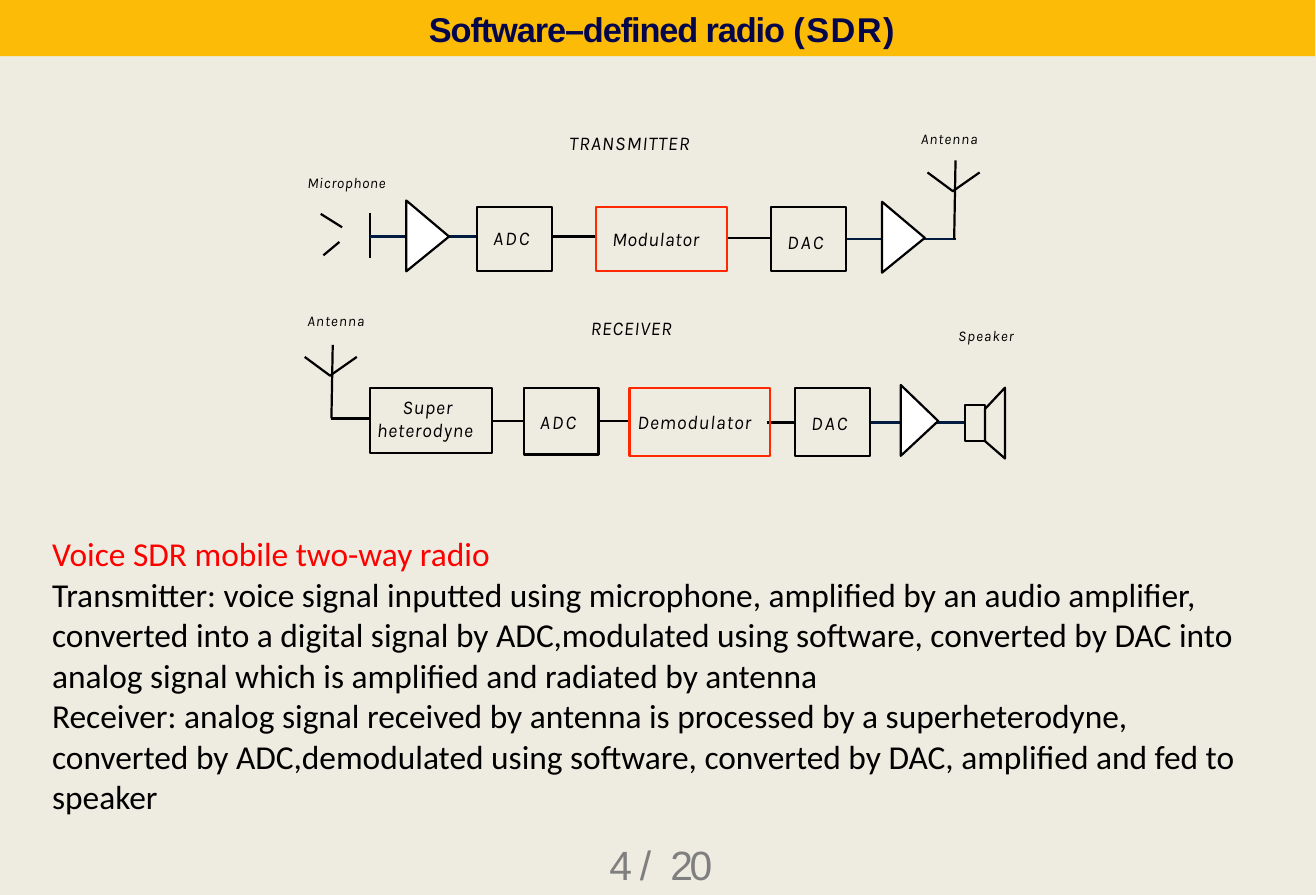
from dataclasses import dataclass

from lxml.etree import SubElement
from pptx import Presentation
from pptx.dml.color import RGBColor
from pptx.enum.shapes import MSO_CONNECTOR, MSO_SHAPE
from pptx.enum.text import MSO_ANCHOR
from pptx.oxml.ns import qn
from pptx.util import Pt

SCALE = 9144


@dataclass(frozen=True)
class Theme:
    """Colours, fonts and sizes of the deck."""
    paper: str = "EEECE1"
    band: str = "FCBB06"
    navy: str = "04064C"
    wire: str = "001A40"
    black: str = "000000"
    white: str = "FFFFFF"
    software: str = "FF2800"
    red: str = "FF0000"
    grey: str = "7F7F7F"
    heading: str = "Arial"
    body: str = "Calibri"
    diagram: str = "Karla"
    title_size: float = 18.5
    body_size: float = 18
    page_size: float = 22
    block_size: float = 10.5
    label_size: float = 8
    stroke: float = 1.18


THEME = Theme()


def px(value):
    """Turn px into EMU."""
    return round(value * SCALE)


def apply(target, values):
    """Set each attribute in a dict of format values."""
    for name, value in values.items():
        setattr(target, name, value)


def style(shape, fill=None, line=None):
    """Give a shape a flat fill and outline, or none."""
    shape.shadow.inherit = False
    if fill:
        shape.fill.solid()
        shape.fill.fore_color.rgb = RGBColor.from_string(fill)
    else:
        shape.fill.background()
    if line:
        shape.line.color.rgb = RGBColor.from_string(line)
        shape.line.width = Pt(THEME.stroke)
    else:
        shape.line.fill.background()


def frame_text(shape, left=1, top=0):
    """Prepare a text frame with the given insets."""
    frame = shape.text_frame
    apply(frame, dict(word_wrap=True, vertical_anchor=MSO_ANCHOR.TOP, margin_left=px(left),
                      margin_top=px(top), margin_right=0, margin_bottom=0))
    return frame


def write(para, spans, color, **font):
    """Add (text, spacing in points) spans to a paragraph."""
    for text, spacing in spans:
        span = para.add_run()
        span.text = text
        apply(span.font, font)
        span.font.color.rgb = RGBColor.from_string(color)
        if spacing:
            span.font._element.set("spc", str(round(spacing * 100)))


def text_box(slide, box, left=1, top=2):
    """Add a text box and return its frame."""
    return frame_text(slide.shapes.add_textbox(*map(px, box)), left, top)


def wire(slide, origin, start, end, color=THEME.black):
    """Draw a straight line between two points of a region."""
    x, y = origin
    line = slide.shapes.add_connector(MSO_CONNECTOR.STRAIGHT, px(x + start[0]), px(y + start[1]),
                                      px(x + end[0]), px(y + end[1]))
    line.line.color.rgb = RGBColor.from_string(color)
    line.line.width = Pt(THEME.stroke)
    SubElement(line._element.spPr, qn("a:effectLst"))


def outline(slide, origin, points, close=False, fill=None):
    """Draw a polyline or polygon from points of a region."""
    first, *rest = [(origin[0] + x, origin[1] + y) for x, y in points]
    builder = slide.shapes.build_freeform(*first, scale=SCALE)
    builder.add_line_segments(rest, close=close)
    style(builder.convert_to_shape(), fill, THEME.black)


def amplifier(slide, origin, left, top, width):
    """Draw an amplifier triangle."""
    outline(slide, origin, [(left, top), (left, top + 53), (left + width, top + 27)],
            close=True, fill=THEME.white)


def antenna(slide, origin, left, top, height):
    """Draw an antenna with its mast."""
    place = (origin[0] + left, origin[1] + top)
    outline(slide, place, [(0, 9), (19, 23), (39, 9)])
    wire(slide, place, (21, 0), (20, height))


def label(slide, origin, text, left, top, width, size, spacing):
    """Add a caption to the diagram."""
    frame = text_box(slide, (origin[0] + left, origin[1] + top, width, 18))
    write(frame.paragraphs[0], [(text, spacing)], THEME.black, size=Pt(size),
          name=THEME.diagram, italic=True)


def block(slide, origin, text, box, inset, spacing, color=THEME.black, first=0):
    """Draw a processing block with its name."""
    left, top, width, height = box
    shape = slide.shapes.add_shape(MSO_SHAPE.RECTANGLE, px(origin[0] + left),
                                   px(origin[1] + top), px(width), px(height))
    style(shape, line=color)
    para = frame_text(shape, *inset).paragraphs[0]
    properties = para._p.get_or_add_pPr()
    properties.set("algn", "l")
    properties.set("indent", str(px(first)))
    para.line_spacing = Pt(12.4)
    write(para, [(text, spacing)], THEME.black, size=Pt(THEME.block_size),
          name=THEME.diagram, italic=True)


def header(slide, box):
    """Draw the title band."""
    left, top, width, height = box
    style(slide.shapes.add_shape(MSO_SHAPE.RECTANGLE, *map(px, box)), THEME.band)
    frame = text_box(slide, (left + 320, top + 4, 358, height - 8))
    write(frame.paragraphs[0], [("Software–defined ", -0.6), ("radio ", -0.6), ("(SDR)", 0.8)],
          THEME.navy, size=Pt(THEME.title_size), name=THEME.heading, bold=True)


def transmitter(slide, origin):
    """Draw the chain from microphone to antenna."""
    for start, end in [((49, 64), (49, 98)), ((12, 65), (28, 75)), ((14, 96), (26, 86)),
                       ((186, 82), (218, 82)), ((316, 83), (348, 83))]:
        wire(slide, origin, start, end)
    for left, right, y in [(49, 130, 82), (405, 487, 84)]:
        wire(slide, origin, (left, y), (right, y), THEME.wire)
    amplifier(slide, origin, 76, 55, 32)
    amplifier(slide, origin, 432, 56, 32)
    antenna(slide, origin, 466, 25, 59)
    block(slide, origin, "ADC", (129, 60, 56, 48), (12, 14), 1.1)
    block(slide, origin, "Modulator", (218, 60, 98, 48), (12, 15), 0.3, THEME.software)
    block(slide, origin, "DAC", (349, 60, 56, 48), (12, 17), 1.1)
    label(slide, origin, "Microphone", 1, 33, 67, THEME.label_size, 0.3)
    label(slide, origin, "Antenna", 460, 0, 49, THEME.label_size, 0.5)
    label(slide, origin, "TRANSMITTER", 197, 1, 103, THEME.block_size, 0.6)


def receiver(slide, origin):
    """Draw the chain from antenna to speaker."""
    for left, right, y in [(20, 49, 81), (140, 164, 83), (220, 243, 83), (346, 368, 84)]:
        wire(slide, origin, (left, y), (right, y))
    wire(slide, origin, (422, 84), (494, 84), THEME.wire)
    antenna(slide, origin, 0, 26, 55)
    amplifier(slide, origin, 446, 56, 28)
    outline(slide, origin, [(509, 74), (509, 98), (524, 111), (524, 58)], close=True)
    outline(slide, origin, [(494, 71), (509, 71), (509, 98), (494, 98)], close=True)
    block(slide, origin, "Super heterodyne", (49, 58, 91, 49), (5, 6), 0.4, first=19)
    block(slide, origin, "ADC", (164, 58, 56, 50), (12, 17), 1.1)
    block(slide, origin, "Demodulator", (243, 58, 105, 51), (6, 17), 0.5, THEME.software)
    block(slide, origin, "DAC", (367, 58, 56, 51), (12, 18), 1.1)
    label(slide, origin, "Antenna", 1, -1, 49, THEME.label_size, 0.5)
    label(slide, origin, "RECEIVER", 213, 2, 70, THEME.block_size, 0.4)
    label(slide, origin, "Speaker", 488, 10, 47, THEME.label_size, 0.5)


def explanation(slide, box):
    """Write the heading and the two descriptions."""
    frame = text_box(slide, box)
    lines = [
        ("Voice SDR mobile two-way radio", THEME.red),
        ("Transmitter: voice signal inputted using microphone, amplified by an audio amplifier, "
         "converted into a digital signal by ADC,modulated using software, converted by DAC into "
         "analog signal which is amplified and radiated by antenna", THEME.black),
        ("Receiver: analog signal received by antenna is processed by a superheterodyne, "
         "converted by ADC,demodulated using software, converted by DAC, amplified and fed to "
         "speaker", THEME.black)]
    for index, (text, color) in enumerate(lines):
        para = frame.add_paragraph() if index else frame.paragraphs[0]
        para.line_spacing = 1.01 if index else 1.0
        write(para, [(text, 0)], color, size=Pt(THEME.body_size), name=THEME.body)


def page_number(slide, box):
    """Write the page count."""
    para = text_box(slide, box, 3, 0).paragraphs[0]
    para.line_spacing = Pt(22.3)
    write(para, [("4 ", -1.8), ("/ ", 2.1), ("20", -1.8)], THEME.grey,
          size=Pt(THEME.page_size), name=THEME.heading)


def main():
    """Build the deck and save it."""
    deck = Presentation()
    apply(deck, dict(slide_width=Pt(709), slide_height=Pt(482)))
    slide = deck.slides.add_slide(deck.slide_layouts[6])
    slide.background.fill.solid()
    slide.background.fill.fore_color.rgb = RGBColor.from_string(THEME.paper)
    header(slide, (0, 0, 984, 42))
    transmitter(slide, (228, 95))
    receiver(slide, (228, 232))
    explanation(slide, (38, 397, 905, 217))
    page_number(slide, (453, 634, 87, 31))
    deck.save("out.pptx")


if __name__ == "__main__":
    main()
